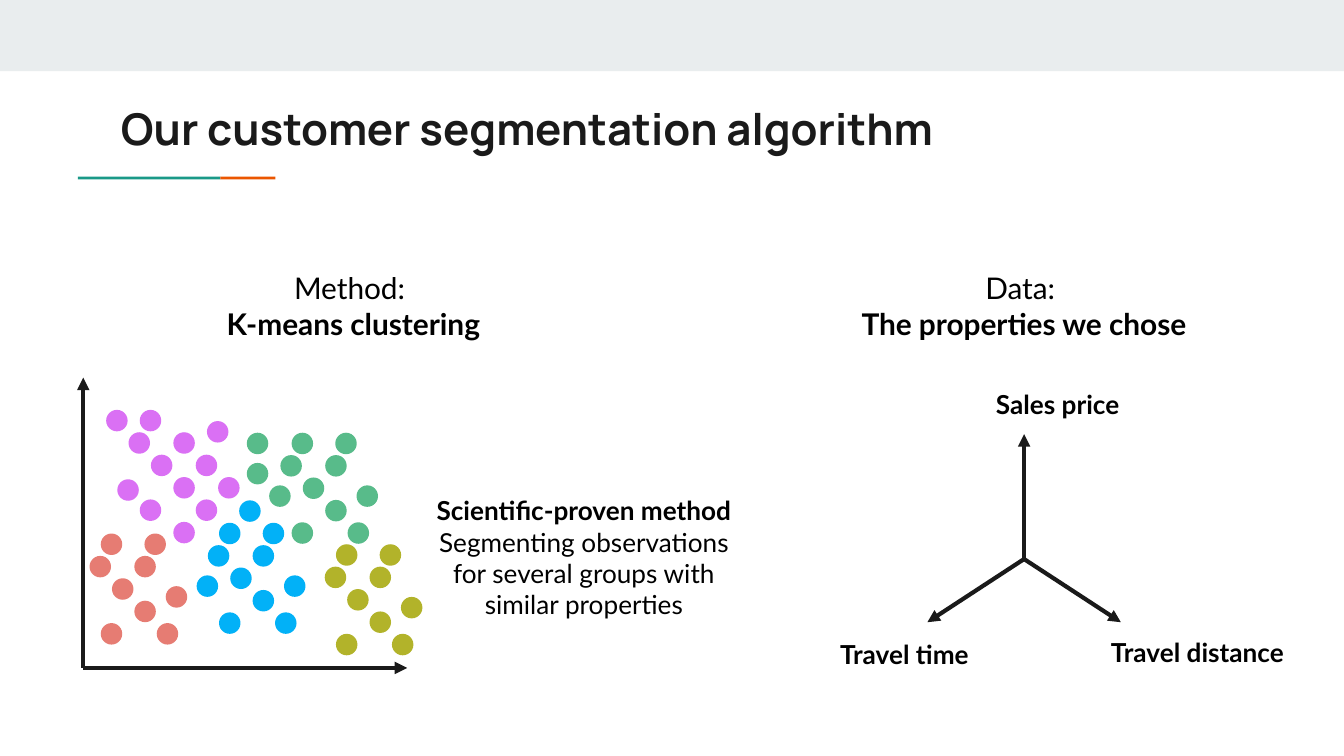
from typing import NamedTuple

from lxml.etree import SubElement
from pptx import Presentation
from pptx.dml.color import RGBColor
from pptx.enum.shapes import MSO_CONNECTOR as Conn, MSO_SHAPE as Geo
from pptx.enum.text import MSO_ANCHOR as Anchor, MSO_AUTO_SIZE as Fit, PP_ALIGN as Align
from pptx.oxml.ns import qn
from pptx.util import Inches, Length, Pt

COLS, ROWS = 100, 56.25  # slide grid, ten units to the inch
DOT, STEP = 1.6, 5 / 6  # dot size and scatter pitch, in grid units
INK, BLACK = "1A1A1A", "000000"


class Run(NamedTuple):
    text: str
    bold: bool = False


class Label(NamedTuple):
    x: float
    y: float
    w: float
    h: float
    size: float
    paragraphs: list[list[Run | None]]  # None is a line break
    anchor: Anchor = Anchor.TOP


class Arrow(NamedTuple):
    x1: float
    y1: float
    x2: float
    y2: float


class Cluster(NamedTuple):
    x: float
    y: float
    color: str
    dots: list[tuple[float, float]]  # in scatter steps from x, y


def u(v: float) -> Length:
    return Inches(v / 10)


def rgb(color: str) -> RGBColor:
    return RGBColor.from_string(color)


def style(r, size: float, color: str, font: str, bold: bool) -> None:
    r.font.size, r.font.name, r.font.bold = Pt(size), font, bold
    r.font.color.rgb = rgb(color)


def draw_shape(s, geo: Geo, x: float, y: float, w: float, h: float, color: str) -> None:
    sp = s.shapes.add_shape(geo, u(x), u(y), u(w), u(h))
    sp.shadow.inherit = False
    sp.fill.solid()
    sp.fill.fore_color.rgb = rgb(color)
    sp.line.fill.background()


def draw_arrow(s, a: Arrow) -> None:
    line = s.shapes.add_connector(Conn.STRAIGHT, u(a.x1), u(a.y1), u(a.x2), u(a.y2))
    line.line.color.rgb = rgb(INK)
    line.line.width = Pt(2.25)
    sp_pr = line._element.spPr
    SubElement(sp_pr.find(qn("a:ln")), qn("a:tailEnd"), type="triangle")
    SubElement(sp_pr, qn("a:effectLst"))


def set_frame(tf, anchor: Anchor) -> None:
    tf.word_wrap, tf.auto_size, tf.vertical_anchor = True, Fit.NONE, anchor
    tf.margin_left = tf.margin_right = tf.margin_top = tf.margin_bottom = u(1)


def draw_label(s, b: Label) -> None:
    tf = s.shapes.add_textbox(u(b.x), u(b.y), u(b.w), u(b.h)).text_frame
    set_frame(tf, b.anchor)
    for i, runs in enumerate(b.paragraphs):
        p = tf.add_paragraph() if i else tf.paragraphs[0]
        p.alignment = Align.CENTER
        for run in runs:
            if run is None:
                p.add_line_break()
                continue
            r = p.add_run()
            r.text = run.text
            style(r, b.size, BLACK, "Lato", run.bold)


def draw_cluster(s, c: Cluster) -> None:
    for col, row in c.dots:
        draw_shape(s, Geo.OVAL, c.x + col * STEP, c.y + row * STEP, DOT, DOT, c.color)


def heading(x: float, lead: str, topic: str) -> Label:
    return Label(x, 19.1, 48, 7.4, 16, [[Run(lead), None, Run(topic, True)]])


def axis_name(x: float, y: float, name: str) -> Label:
    return Label(x, y, 16, 4.4, 14, [[Run(name, True)]], Anchor.MIDDLE)


# Scatter pattern shared by the clusters
CORE = [(0, 0), (-1, 2), (1, 4), (3, 6), (5, 8), (3, 2), (0, 8), (3.9, 0), (5.8, 4.7)]
WIDE = CORE + [(-2, 4.7)]
CLUSTERS = [
    Cluster(7.9, 30.5, "DA70F4", [
        (0, 0), (2, 2), (4, 4), (6, 6), (8, 8), (1, 6.2), (6, 2), (3, 8),
        (3, 0), (8, 4), (6, 10), (9, 1), (10, 6)]),
    Cluster(16.3, 38.9, "02B1F7", WIDE + [(1.8, -2)]),
    Cluster(21.7, 32.2, "58BB8A", WIDE + [(-4, 0), (-4, 2.7)]),
    Cluster(7.5, 39.7, "E67C73", CORE),
    Cluster(25, 40.5, "B2B32A", CORE),
]

# Chart axes, then the three property axes from one hub
HUB = (76.2, 41.6)
ORIGIN = (6.2, 49.7)
ARROWS = [
    Arrow(*ORIGIN, ORIGIN[0], 28.1),
    Arrow(*ORIGIN, 30.3, ORIGIN[1]),
    Arrow(*HUB, HUB[0], 32.3),
    Arrow(*HUB, HUB[0] + 7.2, 46.3),
    Arrow(*HUB, HUB[0] - 7.2, 46.3),
]

LABELS = [
    heading(2.3, "Method: ", "K-means clustering"),
    heading(52.2, "Data: ", "The properties we chose"),
    Label(31.2, 35.8, 24.5, 11.4, 14, [
        [Run("Scientific-proven method", True)],
        [Run("Segmenting observations for several groups with similar properties")]]),
    axis_name(70.7, 27.9, "Sales price"),
    axis_name(81.1, 46.3, "Travel distance"),
    axis_name(59.3, 46.5, "Travel time"),
]


def main() -> None:
    prs = Presentation()
    prs.slide_width, prs.slide_height = u(COLS), u(ROWS)
    s = prs.slides.add_slide(prs.slide_layouts.get_by_name("Title Only"))

    # Top band and two-colour rule under the title
    draw_shape(s, Geo.RECTANGLE, 0, 0, COLS, 5.3, "E9EDEE")
    draw_shape(s, Geo.RECTANGLE, 5.8, 13.15, 10.6, 0.2, "1A9988")
    draw_shape(s, Geo.RECTANGLE, 16.4, 13.15, 4.1, 0.2, "EB5600")

    # Title
    title = s.shapes.title
    title.left, title.top, title.width, title.height = u(8), u(6.6), u(84.1), u(5.9)
    set_frame(title.text_frame, Anchor.TOP)
    p = title.text_frame.paragraphs[0]
    p.alignment = Align.LEFT
    r = p.add_run()
    r.text = "Our customer segmentation algorithm"
    style(r, 23.4, INK, "Manrope", True)

    # Diagrams and their texts
    for arrow in ARROWS:
        draw_arrow(s, arrow)
    for cluster in CLUSTERS:
        draw_cluster(s, cluster)
    for label in LABELS:
        draw_label(s, label)

    prs.save("out.pptx")


if __name__ == "__main__":
    main()
